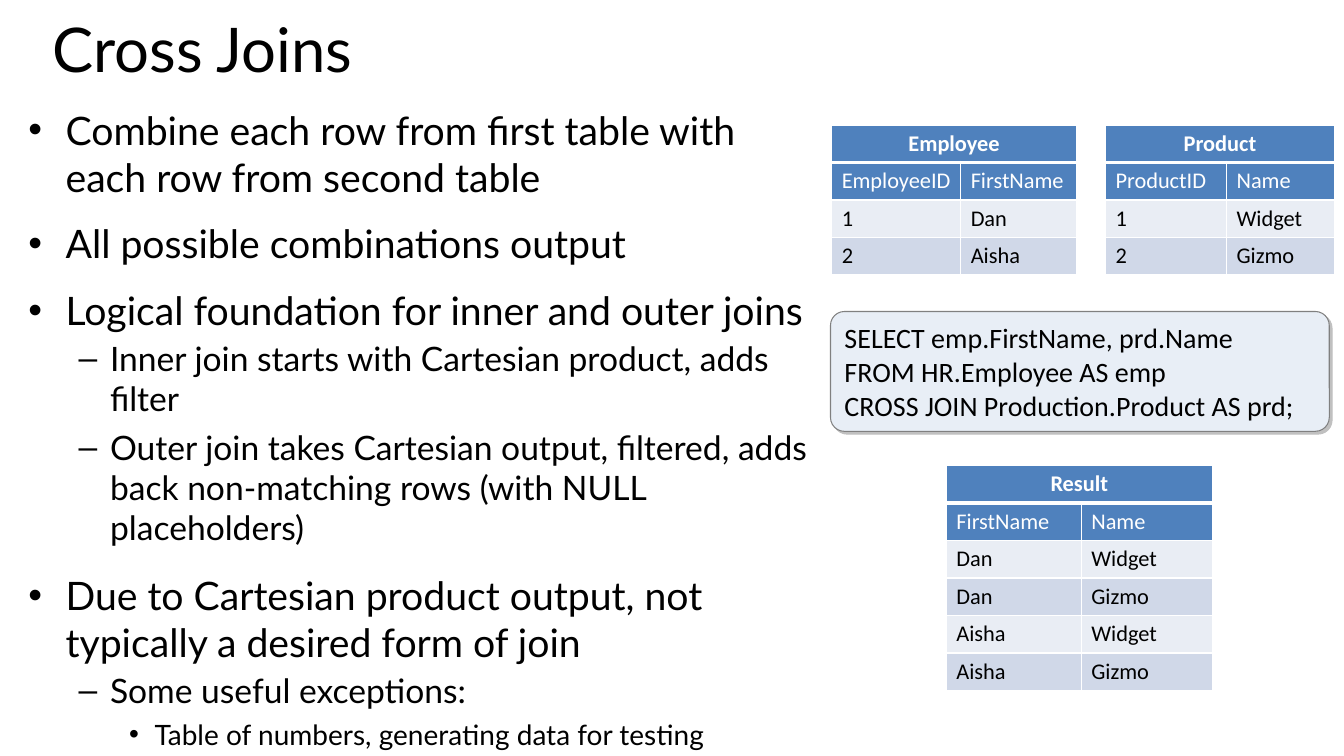
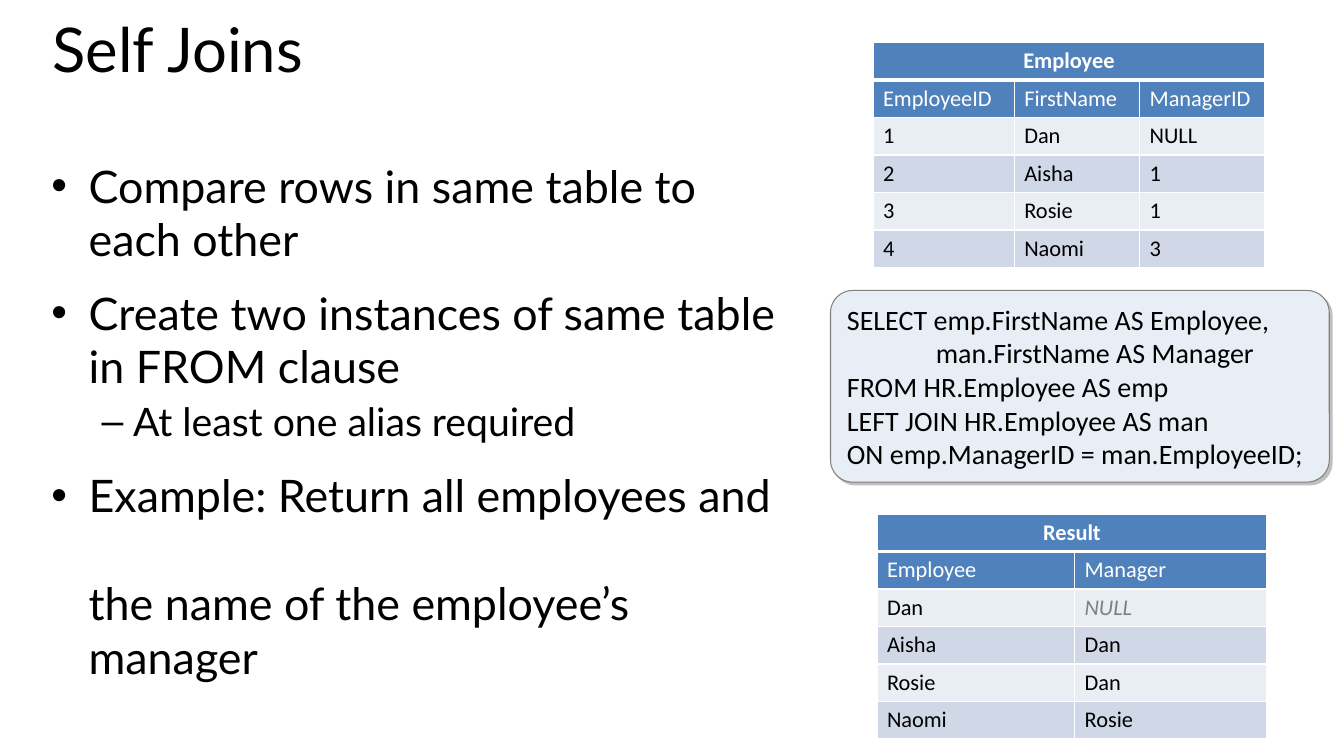
from lxml import etree
from pptx import Presentation
from pptx.dml.color import RGBColor
from pptx.enum import shapes, text
from pptx.oxml import ns
from pptx.util import Cm, Pt

BLACK = RGBColor(0x00, 0x00, 0x00)
WHITE = RGBColor(0xFF, 0xFF, 0xFF)
GRAY = RGBColor(0x80, 0x80, 0x80)
SHADOW = RGBColor(0xC0, 0xC0, 0xC0)
HEADER_BLUE = RGBColor(0x4F, 0x81, 0xBD)
BANDS = (RGBColor(0xE9, 0xED, 0xF4), RGBColor(0xD0, 0xD8, 0xE8))
CODE_FILL = RGBColor(0xE8, 0xEE, 0xF6)

TEXT_FONT = "Lato"
DATA_FONT = "Calibri"
ROW_HEIGHT = 0.93
CODE_LEFT, CODE_WIDTH = 20.93, 12.57
CODE_INDENT = 2.24

# level: left margin, hanging indent, space before, space after
LEVELS = (
    (0.94, -0.94, 14, 0),
    (2.06, -0.79, 3, 3),
    (3.18, -0.64, 2, 2),
)


def add_run(paragraph, words, size, font, color=BLACK, bold=False, italic=False):
    run = paragraph.add_run()
    run.text = words
    run.font.size = Pt(size)
    run.font.name = font
    run.font.color.rgb = color
    run.font.bold = bold
    run.font.italic = italic


def paragraphs(frame, count):
    return [frame.paragraphs[0]] + [frame.add_paragraph() for _ in range(count - 1)]


def set_indent(paragraph, margin, hanging=0):
    properties = paragraph._p.get_or_add_pPr()
    properties.set("marL", str(Cm(margin)))
    properties.set("indent", str(Cm(hanging)))


def place(placeholder, left, top, width, height):
    placeholder.left, placeholder.top = Cm(left), Cm(top)
    placeholder.width, placeholder.height = Cm(width), Cm(height)
    frame = placeholder.text_frame
    frame.auto_size = text.MSO_AUTO_SIZE.NONE
    frame.vertical_anchor = text.MSO_ANCHOR.TOP
    frame.word_wrap = True
    return frame


def add_topic(deck, heading):
    slide = deck.slides.add_slide(deck.slide_layouts[1])
    line = place(slide.shapes.title, 1.07, 0.51, 32, 2.95).paragraphs[0]
    line.alignment = text.PP_ALIGN.LEFT
    line.line_spacing = 0.8
    add_run(line, heading, 44, TEXT_FONT)
    return slide


def fill_list(slide, box, sizes, points):
    frame = place(slide.placeholders[1], *box)
    for paragraph, (level, words) in zip(paragraphs(frame, len(points)), points):
        margin, hanging, before, after = LEVELS[level]
        paragraph.level = level
        set_indent(paragraph, margin, hanging)
        paragraph.space_before, paragraph.space_after = Pt(before), Pt(after)
        for number, part in enumerate(words.split("\n")):
            if number:
                paragraph.add_line_break()
            add_run(paragraph, part, sizes[level], TEXT_FONT)


def set_borders(cell, top, bottom):
    properties = cell._tc.get_or_add_tcPr()
    for side, width in (("L", 1), ("R", 1), ("T", top), ("B", bottom)):
        border = etree.SubElement(properties, ns.qn(f"a:ln{side}"), w=str(Pt(width)))
        paint = etree.SubElement(border, ns.qn("a:solidFill"))
        etree.SubElement(paint, ns.qn("a:srgbClr"), val=str(WHITE))


def add_data_table(slide, left, top, widths, caption, rows, muted=()):
    blank = [""] * (len(widths) - 1)
    grid = [[caption] + blank] + rows
    table = slide.shapes.add_table(
        len(grid), len(widths), Cm(left), Cm(top),
        Cm(sum(widths)), Cm(ROW_HEIGHT * len(grid))).table
    for column, width in zip(table.columns, widths):
        column.width = Cm(width)
    table.cell(0, 0).merge(table.cell(0, len(widths) - 1))
    for r, values in enumerate(grid):
        table.rows[r].height = Cm(ROW_HEIGHT)
        for c, value in enumerate(values):
            cell = table.cell(r, c)
            set_borders(cell, 3 if r == 1 else 1, 3 if r == 0 else 1)
            cell.fill.solid()
            cell.fill.fore_color.rgb = HEADER_BLUE if r < 2 else BANDS[r % 2]
            if not value:
                continue
            paragraph = cell.text_frame.paragraphs[0]
            if r == 0:
                paragraph.alignment = text.PP_ALIGN.CENTER
            is_muted = (r, c) in muted
            color = WHITE if r < 2 else GRAY if is_muted else BLACK
            add_run(paragraph, value, 16, DATA_FONT, color, r == 0, is_muted)


def add_shadow(shape):
    effects = etree.SubElement(shape._element.spPr, ns.qn("a:effectLst"))
    shadow = etree.SubElement(effects, ns.qn("a:outerShdw"), dist=str(Pt(2.8)),
                              dir=str(45 * 60000), algn="ctr", rotWithShape="0")
    etree.SubElement(shadow, ns.qn("a:srgbClr"), val=str(SHADOW))


def add_query(slide, top, height, lines):
    panel = slide.shapes.add_shape(
        shapes.MSO_SHAPE.ROUNDED_RECTANGLE,
        Cm(CODE_LEFT), Cm(top), Cm(CODE_WIDTH), Cm(height))
    panel.adjustments[0] = 0.116
    panel.fill.solid()
    panel.fill.fore_color.rgb = CODE_FILL
    panel.line.color.rgb = GRAY
    panel.line.width = Pt(0.75)
    add_shadow(panel)
    frame = panel.text_frame
    frame.word_wrap = True
    frame.auto_size = text.MSO_AUTO_SIZE.SHAPE_TO_FIT_TEXT
    frame.vertical_anchor = text.MSO_ANCHOR.MIDDLE
    for paragraph, (indent, code) in zip(paragraphs(frame, len(lines)), lines):
        paragraph.alignment = text.PP_ALIGN.LEFT
        set_indent(paragraph, indent)
        add_run(paragraph, code, 20, DATA_FONT)


def cross_joins(deck):
    slide = add_topic(deck, "Cross Joins")
    fill_list(slide, (0.46, 2.54, 20.22, 15.98), (28, 24, 20), [
        (0, "Combine each row from first table with each row from second table"),
        (0, "All possible combinations output"),
        (0, "Logical foundation for inner and outer joins"),
        (1, "Inner join starts with Cartesian product, adds filter"),
        (1, "Outer join takes Cartesian output, filtered, adds back "
            "non-matching rows (with NULL placeholders)"),
        (0, "Due to Cartesian product output, not typically a desired form of join"),
        (1, "Some useful exceptions:"),
        (2, "Table of numbers, generating data for testing"),
    ])
    add_data_table(slide, 20.96, 3.15, (3.25, 2.92), "Employee", [
        ["EmployeeID", "FirstName"], ["1", "Dan"], ["2", "Aisha"]])
    add_data_table(slide, 27.86, 3.15, (3.05, 2.72), "Product", [
        ["ProductID", "Name"], ["1", "Widget"], ["2", "Gizmo"]])
    pairs = [[person, item] for person in ("Dan", "Aisha")
             for item in ("Widget", "Gizmo")]
    add_data_table(slide, 23.85, 11.73, (3.4, 3.3), "Result",
                   [["FirstName", "Name"]] + pairs)
    add_query(slide, 7.85, 3.02, [
        (0, "SELECT emp.FirstName, prd.Name"),
        (0, "FROM HR.Employee AS emp"),
        (0, "CROSS JOIN Production.Product AS prd;"),
    ])


def self_joins(deck):
    slide = add_topic(deck, "Self Joins")
    fill_list(slide, (1.04, 3.86, 18.8, 14.71), (32, 28), [
        (0, "Compare rows in same table to each other"),
        (0, "Create two instances of same table in FROM clause"),
        (1, "At least one alias required"),
        (0, "Example: Return all employees and \nthe name of the employee’s manager"),
    ])
    add_data_table(slide, 22, 1.07, (3.56, 3.16, 3.16), "Employee", [
        ["EmployeeID", "FirstName", "ManagerID"],
        ["1", "Dan", "NULL"],
        ["2", "Aisha", "1"],
        ["3", "Rosie", "1"],
        ["4", "Naomi", "3"],
    ])
    add_data_table(slide, 22.1, 12.95, (4.98, 4.85), "Result", [
        ["Employee", "Manager"],
        ["Dan", "NULL"],
        ["Aisha", "Dan"],
        ["Rosie", "Dan"],
        ["Naomi", "Rosie"],
    ], muted={(2, 1)})
    add_query(slide, 7.32, 4.83, [
        (0, "SELECT emp.FirstName AS Employee,"),
        (CODE_INDENT, "man.FirstName AS Manager"),
        (0, "FROM HR.Employee AS emp"),
        (0, "LEFT JOIN HR.Employee AS man"),
        (0, "ON emp.ManagerID = man.EmployeeID;"),
    ])


def main():
    deck = Presentation()
    deck.slide_width, deck.slide_height = Cm(33.87), Cm(19.05)
    cross_joins(deck)
    self_joins(deck)
    deck.save("out.pptx")


main()
